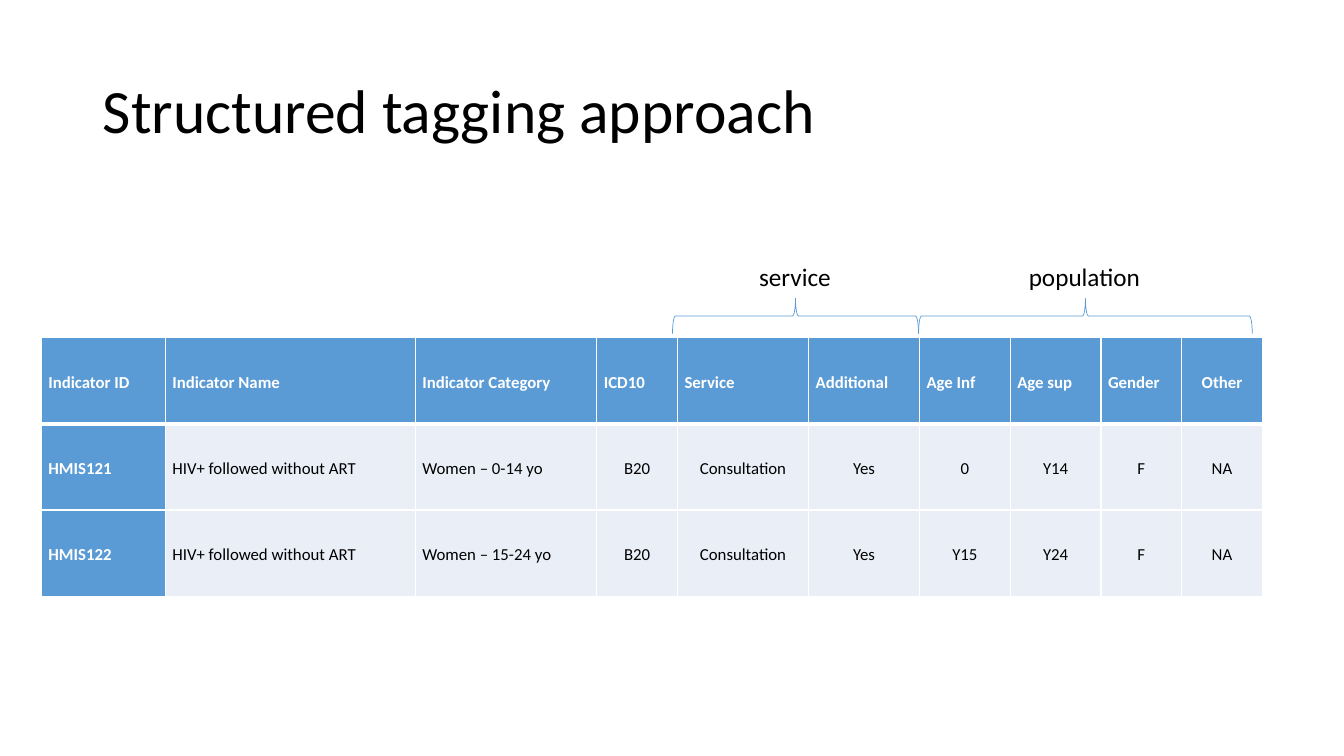
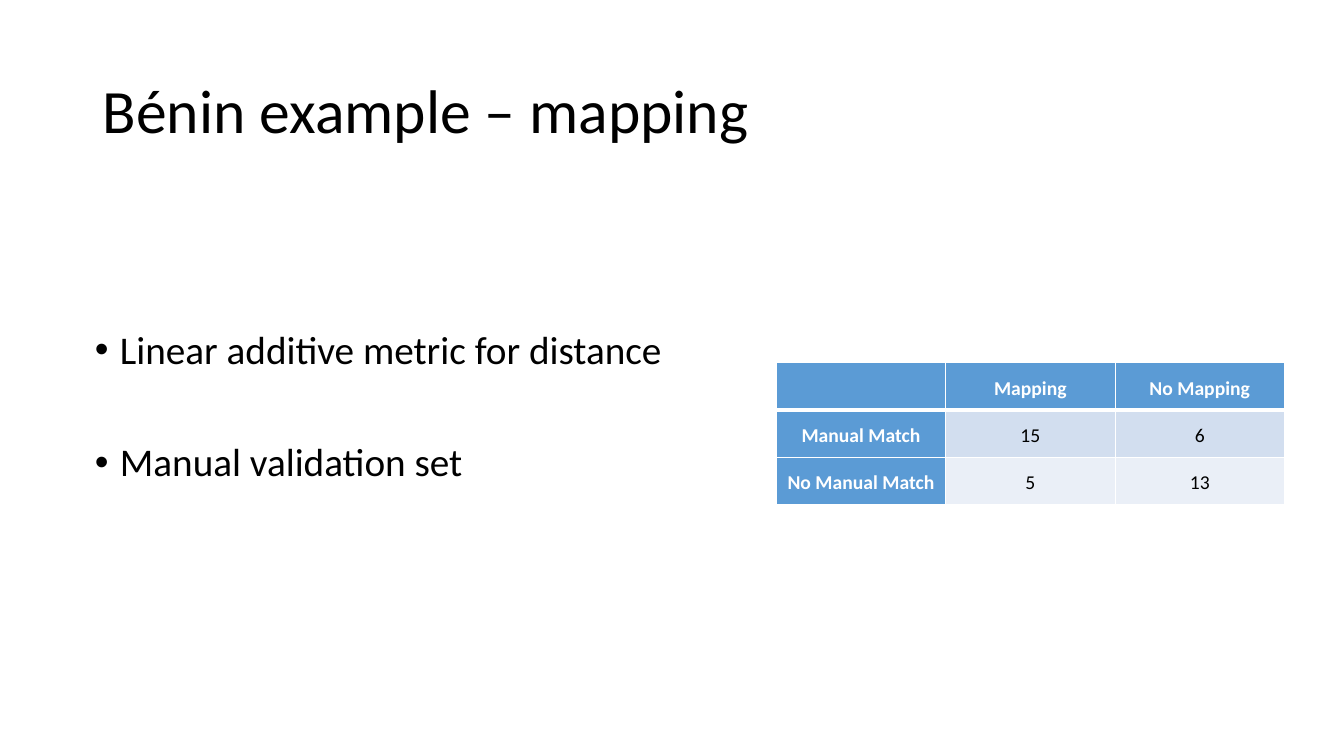
from itertools import product

from lxml import etree
from pptx import Presentation
from pptx.dml.color import RGBColor
from pptx.enum.shapes import MSO_SHAPE
from pptx.enum.text import MSO_ANCHOR, MSO_AUTO_SIZE, PP_ALIGN
from pptx.oxml.ns import qn
from pptx.util import Inches, Pt

LEFT, CENTER = PP_ALIGN.LEFT, PP_ALIGN.CENTER
MIDDLE, TOP = MSO_ANCHOR.MIDDLE, MSO_ANCHOR.TOP
NO_AUTOFIT = MSO_AUTO_SIZE.NONE
LEFT_BRACE = MSO_SHAPE.LEFT_BRACE

# Shared style
FONT = "Calibri"
COLORS = {"accent": "5B9BD5", "band": "D2DEEF", "pale": "EAEFF7",
          "text": "000000", "white": "FFFFFF"}
TITLE_BOX = (0.92, 0.4, 11.5, 1.45)
TITLE_ONLY, TITLE_AND_BODY = 5, 1

# Tagging slide content
TAGGING_TITLE = "Structured tagging approach"
INDICATORS = [
    ("Indicator ID", "Indicator Name", "Indicator Category", "ICD10", "Service",
     "Additional", "Age Inf", "Age sup", "Gender", "Other"),
    ("HMIS121", "HIV+ followed without ART", "Women – 0-14 yo", "B20",
     "Consultation", "Yes", "0", "Y14", "F", "NA"),
    ("HMIS122", "HIV+ followed without ART", "Women – 15-24 yo", "B20",
     "Consultation", "Yes", "Y15", "Y24", "F", "NA"),
]
INDICATOR_COLS = [1.23, 2.48, 1.8, 0.8, 1.3, 1.1, 0.9, 0.9, 0.8, 0.8]
# label, brace start, brace end, label width
TAG_GROUPS = [("population", 9.11, 12.42, 1.32), ("service", 6.67, 9.11, 0.92)]
BRACE_TOP, BRACE_DEPTH = 2.96, 0.35
LABEL_TOP, LABEL_HEIGHT = 2.54, 0.4

# Mapping slide content
MAPPING_TITLE = "Bénin example – mapping"
METHODS = ["Linear additive metric for distance", "Manual validation set"]
MATCHES = [
    ("", "Mapping", "No Mapping"),
    ("Manual Match", "15", "6"),
    ("No Manual Match", "5", "13"),
]


def rgb(name):
    return RGBColor.from_string(COLORS[name])


def place(shape, left, top, width, height):
    shape.left, shape.top = Inches(left), Inches(top)
    shape.width, shape.height = Inches(width), Inches(height)


def style(paragraph, size, color="text", bold=False, align=LEFT, spacing=None):
    paragraph.alignment = align
    paragraph.line_spacing = spacing
    for run in paragraph.runs:
        font = run.font
        font.name, font.size, font.bold = FONT, Pt(size), bold
        font.color.rgb = rgb(color)


def add_slide(prs, layout, title):
    slide = prs.slides.add_slide(prs.slide_layouts[layout])
    heading = slide.shapes.title
    place(heading, *TITLE_BOX)
    frame = heading.text_frame
    frame.text = title
    frame.auto_size, frame.vertical_anchor = NO_AUTOFIT, MIDDLE
    style(frame.paragraphs[0], 44, spacing=0.9)
    return slide


def set_borders(cell, **widths):
    properties = cell._tc.get_or_add_tcPr()
    for side in "LRTB":
        line = etree.SubElement(properties, qn(f"a:ln{side}"),
                                w=str(Pt(widths.get(side, 1))))
        fill = etree.SubElement(line, qn("a:solidFill"))
        etree.SubElement(fill, qn("a:srgbClr"), val=COLORS["white"])


def add_grid(slide, rows, left, top, cols, row_height, size, fills, align_of):
    """Table with an accent header row and first column; fills colour the body rows."""
    grid = slide.shapes.add_table(
        len(rows), len(cols), Inches(left), Inches(top),
        Inches(sum(cols)), Inches(row_height * len(rows))).table
    for column, width in zip(grid.columns, cols):
        column.width = Inches(width)
    for row in grid.rows:
        row.height = Inches(row_height)
    for r, c in product(range(len(rows)), range(len(cols))):
        cell = grid.cell(r, c)
        heading = r == 0 or c == 0
        set_borders(cell, B=3 if r == 0 else 1, T=3 if r == 1 else 1)
        cell.fill.solid()
        cell.fill.fore_color.rgb = rgb("accent" if heading else fills[r - 1])
        cell.vertical_anchor = MIDDLE
        cell.margin_left = cell.margin_right = Inches(0.07)
        cell.margin_top = cell.margin_bottom = 0
        cell.text_frame.text = rows[r][c]
        style(cell.text_frame.paragraphs[0], size, "white" if heading else "text",
              heading, align_of(r, c), 1.15)


def add_tag_group(slide, label, start, end, label_width):
    middle, span = (start + end) / 2, end - start
    # The brace is upright before its quarter turn around the centre
    brace = slide.shapes.add_shape(
        LEFT_BRACE, Inches(middle - BRACE_DEPTH / 2),
        Inches(BRACE_TOP + BRACE_DEPTH / 2 - span / 2),
        Inches(BRACE_DEPTH), Inches(span))
    brace.rotation = 90
    brace.shadow.inherit = False
    brace.fill.background()
    brace.line.color.rgb = rgb("accent")
    brace.line.width = Pt(0.5)
    caption = slide.shapes.add_textbox(
        Inches(middle - label_width / 2), Inches(LABEL_TOP),
        Inches(label_width), Inches(LABEL_HEIGHT)).text_frame
    caption.text = label
    style(caption.paragraphs[0], 18)


def add_methods(slide):
    body = slide.placeholders[1]
    place(body, 0.84, 3.23, 5.83, 1.79)
    frame = body.text_frame
    frame.text = "\n".join(METHODS)
    frame.auto_size, frame.vertical_anchor = NO_AUTOFIT, TOP
    for i, paragraph in enumerate(frame.paragraphs):
        style(paragraph, 28, spacing=0.9)
        paragraph.space_before = Pt(50 if i else 10)
        properties = paragraph._p.get_or_add_pPr()
        properties.set("marL", str(Inches(0.25)))
        properties.set("indent", str(-Inches(0.25)))
        etree.SubElement(properties, qn("a:buFont"), typeface="Arial")
        etree.SubElement(properties, qn("a:buChar"), char="•")


def indicator_align(row, col):
    last = len(INDICATOR_COLS) - 1
    return CENTER if col == last or (row > 0 and col > 2) else LEFT


def main():
    prs = Presentation()
    prs.slide_width, prs.slide_height = Inches(13.33), Inches(7.5)

    # Structured tagging
    tagging = add_slide(prs, TITLE_ONLY, TAGGING_TITLE)
    add_grid(tagging, INDICATORS, 0.41, 3.35, INDICATOR_COLS, 0.855, 12,
             ["pale", "pale"], indicator_align)
    for group in TAG_GROUPS:
        add_tag_group(tagging, *group)

    # Mapping results
    mapping = add_slide(prs, TITLE_AND_BODY, MAPPING_TITLE)
    add_methods(mapping)
    add_grid(mapping, MATCHES, 7.7, 3.6, [1.68] * 3, 0.47, 14,
             ["band", "pale"], lambda row, col: CENTER)

    prs.save("out.pptx")


if __name__ == "__main__":
    main()
